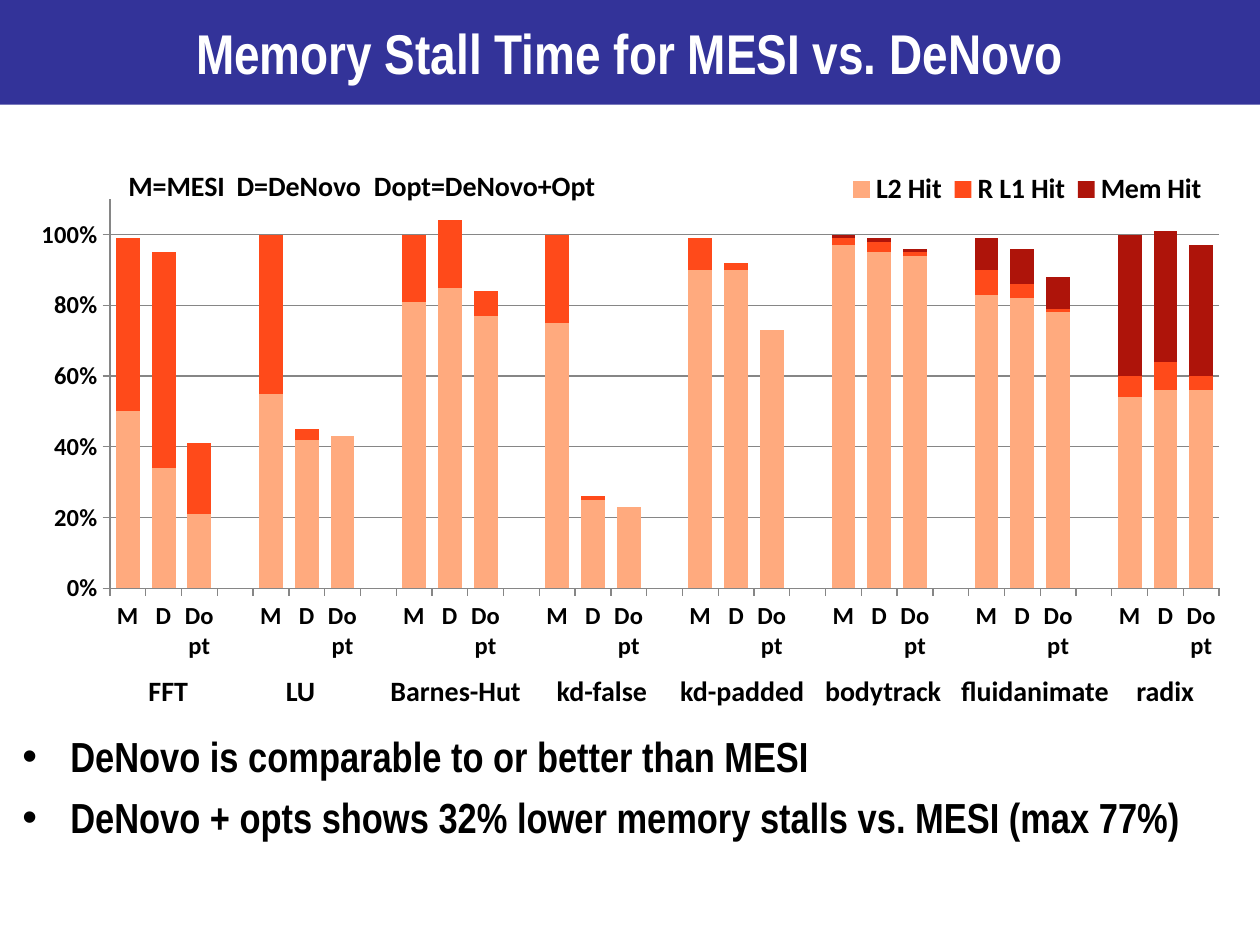
"""Build the slide comparing memory stall time for MESI and DeNovo."""
from dataclasses import dataclass

from lxml.etree import SubElement
from pptx import Presentation
from pptx.chart.data import CategoryChartData
from pptx.dml.color import RGBColor
from pptx.enum.chart import XL_CHART_TYPE, XL_LEGEND_POSITION, XL_TICK_MARK
from pptx.enum.text import MSO_ANCHOR, MSO_AUTO_SIZE, PP_ALIGN
from pptx.oxml import parse_xml
from pptx.oxml.ns import nsdecls, qn
from pptx.util import Pt


@dataclass(frozen=True)
class Theme:
    band: str = "333399"
    white: str = "FFFFFF"
    black: str = "000000"
    grid: str = "868686"
    series: tuple = ("FFAA7E", "FF4A1A", "AE140A")
    head: str = "Arial Narrow"
    body: str = "Calibri"
    title: int = 32
    bullet: int = 24
    label: int = 16
    axis: int = 14


T = Theme()
PX = 9144


def style(font, name, size, color):
    font.name, font.size, font.bold = name, Pt(size), True
    font.color.rgb = RGBColor.from_string(color)


def layout(parent, after, box, inner=False):
    for old in parent.findall(qn("c:layout")):
        parent.remove(old)
    target = '<c:layoutTarget val="inner"/>' if inner else ""
    modes = "".join(f'<c:{k}Mode val="edge"/>' for k in "xy")
    sizes = "".join(f'<c:{k} val="{v}"/>' for k, v in zip("xywh", box))
    xml = f'<c:layout {nsdecls("c")}><c:manualLayout>{target}{modes}{sizes}</c:manualLayout></c:layout>'
    parent.insert(after, parse_xml(xml))


prs = Presentation()
prs.slide_width, prs.slide_height = 1000 * PX, 750 * PX
s = prs.slides.add_slide(prs.slide_layouts[5])

title = s.shapes.title
title.left, title.top, title.width, title.height = 0, 0, 1000 * PX, 83 * PX
title.fill.solid()
title.fill.fore_color.rgb = RGBColor.from_string(T.band)
tf = title.text_frame
tf.auto_size = MSO_AUTO_SIZE.NONE
tf.vertical_anchor = MSO_ANCHOR.MIDDLE
p = tf.paragraphs[0]
p.alignment = PP_ALIGN.CENTER
r = p.add_run()
r.text = "Memory Stall Time for MESI vs. DeNovo"
style(r.font, T.head, T.title, T.white)

benchmarks = [
    ("FFT", 108, 52, (50, 34, 21), (49, 61, 20), (0, 0, 0)),
    ("LU", 217, 44, (55, 42, 43), (45, 3, 0), (0, 0, 0)),
    ("Barnes-Hut", 300, 125, (81, 85, 77), (19, 19, 7), (0, 0, 0)),
    ("kd-false", 432, 93, (75, 25, 23), (25, 1, 0), (0, 0, 0)),
    ("kd-padded", 530, 120, (90, 90, 73), (9, 2, 0), (0, 0, 0)),
    ("bodytrack", 645, 114, (97, 95, 94), (2, 3, 1), (1, 1, 1)),
    ("fluidanimate", 753, 139, (83, 82, 78), (7, 4, 1), (9, 10, 9)),
    ("radix", 892, 67, (54, 56, 56), (6, 8, 4), (40, 37, 37)),
]
data = CategoryChartData()
data.categories = (["M", "D", "Dopt", ""] * len(benchmarks))[:-1]
for i, name in enumerate(("L2 Hit", "R L1 Hit", "Mem Hit")):
    vals = [v for row in benchmarks for v in (*row[3 + i], None)]
    data.add_series(name, vals[:-1])
chart = s.shapes.add_chart(
    XL_CHART_TYPE.COLUMN_STACKED, 25 * PX, 125 * PX, 958 * PX, 425 * PX, data
).chart
chart.has_title = False
style(chart.font, T.body, T.axis, T.black)
plot = chart.plots[0]
plot.gap_width, plot.overlap, plot.vary_by_categories = 50, 100, False
for ser, color in zip(plot.series, T.series):
    ser.format.fill.solid()
    ser.format.fill.fore_color.rgb = RGBColor.from_string(color)
    ser.invert_if_negative = False

cat, val = chart.category_axis, chart.value_axis
val.minimum_scale, val.maximum_scale, val.major_unit = 0, 110, 20
val.has_major_gridlines = True
val.tick_labels.number_format = '0"%"'
val.tick_labels.number_format_is_linked = False
for axis in (cat, val):
    axis.major_tick_mark = XL_TICK_MARK.OUTSIDE
    style(axis.tick_labels.font, T.body, T.axis, T.black)
for line in (cat.format.line, val.format.line, val.major_gridlines.format.line):
    line.color.rgb = RGBColor.from_string(T.grid)
    line.width = Pt(0.75)
cat._element.find(qn("c:txPr")).find(qn("a:bodyPr")).set("rot", "0")

chart.has_legend = True
legend = chart.legend
legend.position = XL_LEGEND_POSITION.TOP
legend.include_in_layout = True
style(legend.font, T.body, T.label, T.black)
layout(legend._element, 1, (0.67, 0.02, 0.31, 0.08))
layout(chart._chartSpace.chart.plotArea, 0, (0.065, 0.078, 0.919, 0.727), True)

labels = [(name, x, 530, w) for name, x, w, *_ in benchmarks]
labels.append(("M=MESI\tD=DeNovo\tDopt=DeNovo+Opt", 92, 129, 407))
for text, x, y, w in labels:
    tf = s.shapes.add_textbox(x * PX, y * PX, w * PX, 37 * PX).text_frame
    tf.word_wrap = False
    tf.auto_size = MSO_AUTO_SIZE.SHAPE_TO_FIT_TEXT
    p = tf.paragraphs[0]
    if "\t" in text:
        tabs = SubElement(p._p.get_or_add_pPr(), qn("a:tabLst"))
        for pos in (86, 195):
            SubElement(tabs, qn("a:tab"), pos=str(pos * PX), algn="l")
    r = p.add_run()
    r.text = text
    style(r.font, T.body, T.label, T.black)

tf = s.shapes.add_textbox(8 * PX, 575 * PX, 1008 * PX, 183 * PX).text_frame
tf.word_wrap = True
bullets = (
    "DeNovo is comparable to or better than MESI",
    "DeNovo + opts shows 32% lower memory stalls vs. MESI (max 77%)",
)
for i, text in enumerate(bullets):
    p = tf.add_paragraph() if i else tf.paragraphs[0]
    p.space_before = Pt(6 if i else 0)
    pPr = p._p.get_or_add_pPr()
    pPr.set("marL", str(38 * PX))
    pPr.set("indent", str(-38 * PX))
    SubElement(pPr, qn("a:buFont"), typeface="Arial")
    SubElement(pPr, qn("a:buChar"), char="•")
    r = p.add_run()
    r.text = text
    style(r.font, T.head, T.bullet, T.black)

prs.save("out.pptx")
